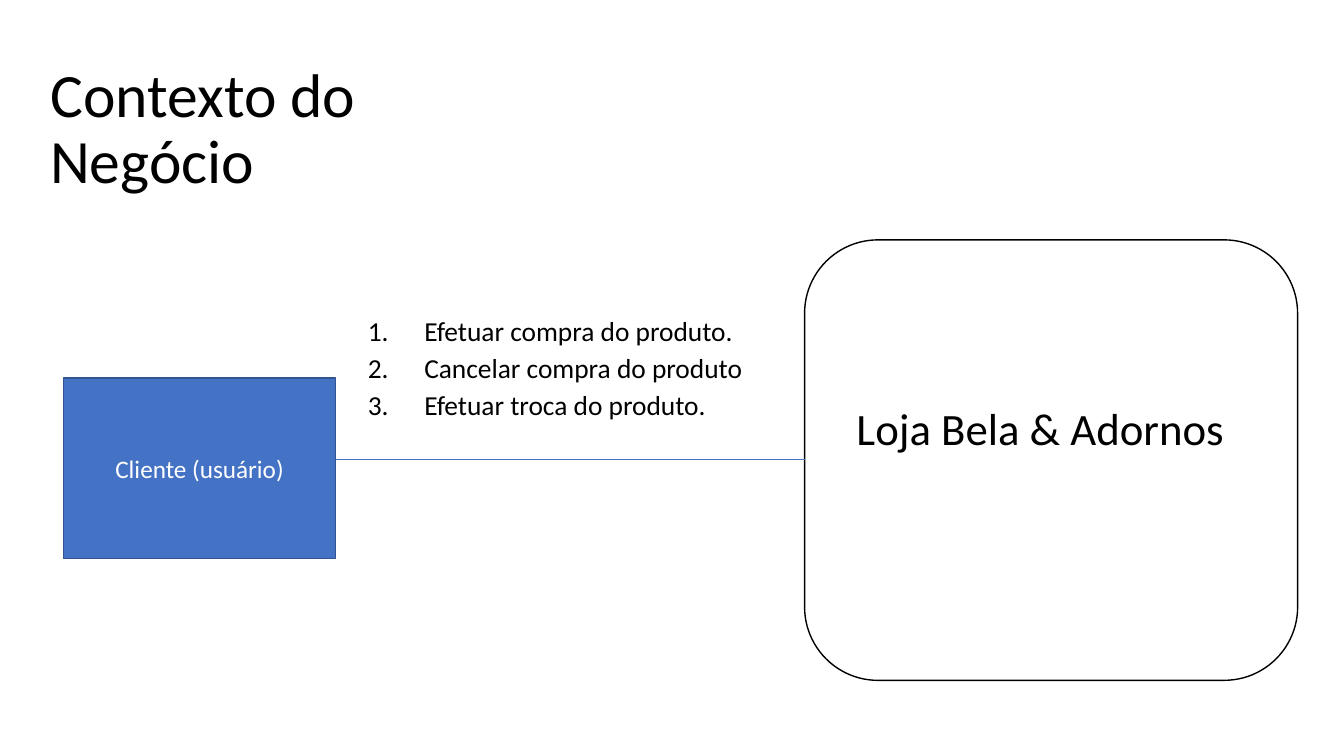
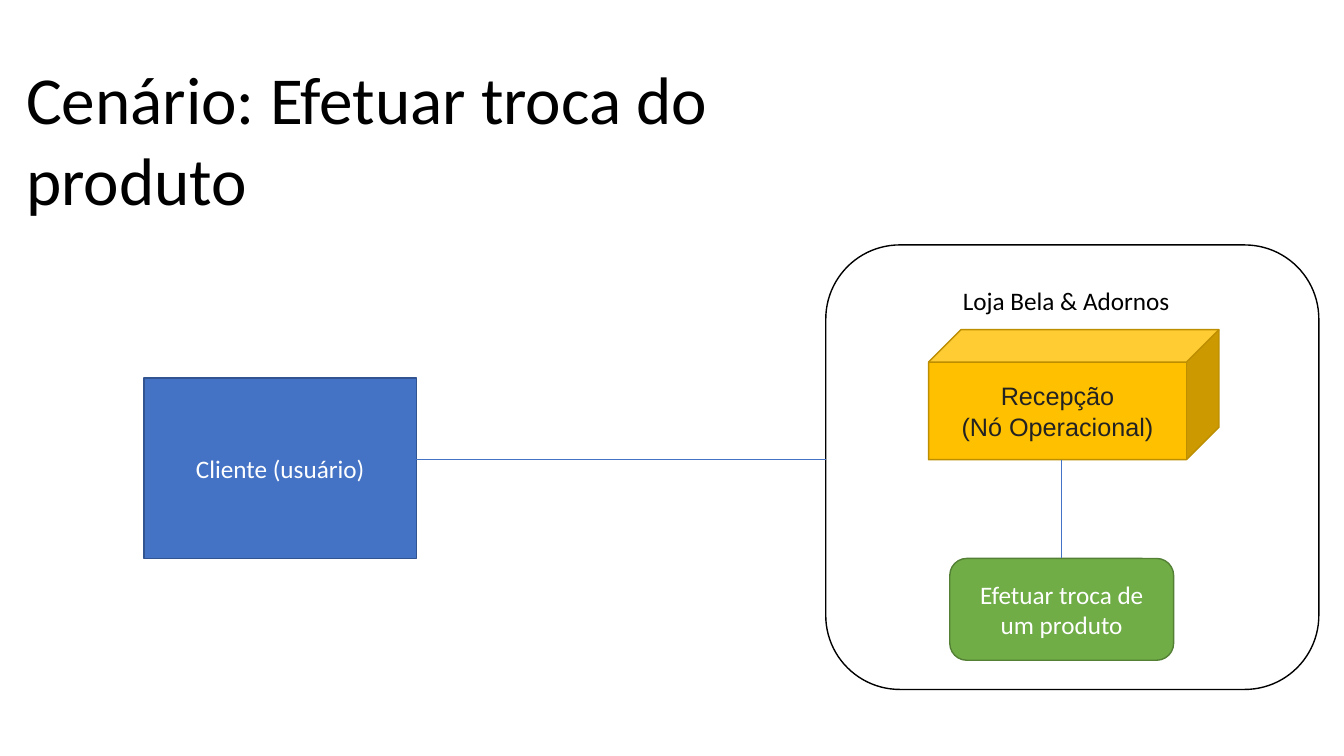
"""Build two slides on the business context and a product exchange scenario."""
from lxml import etree
from pptx import Presentation
from pptx.dml.color import RGBColor
from pptx.enum import shapes, text
from pptx.oxml import ns
from pptx.util import Inches, Pt

BLACK, WHITE, DARK = "000000", "FFFFFF", "222222"
BLUE, NAVY = "4472C4", "325491"
GREEN, MOSS = "70AD47", "538035"
GOLD, OCHRE = "FFC000", "BD8E00"
KIND, ANCHOR = shapes.MSO_SHAPE, text.MSO_ANCHOR
CENTER = text.PP_ALIGN.CENTER
CLIENT, SHOP = "Cliente (usuário)", "Loja Bela & Adornos"
STEPS = ["Efetuar compra do produto.", "Cancelar compra do produto", "Efetuar troca do produto."]
MID = 4.56

SLIDES = [
    dict(title=("Contexto do Negócio", (0.4, 0.4, 4.04, 1.79), 44, 0.9, ANCHOR.MIDDLE),
         shop=((7.98, 2.38, 4.89, 4.37), 32, (0.1, 1.38, 0.31, 0.05)),
         client=0.63, nodes=[], links=[],
         steps=(STEPS, (3.55, 3.16, 4.04, 1.41))),
    dict(title=("Cenário: Efetuar troca do produto", (0.16, 0.52, 8.36, 1.72), 48, 1, ANCHOR.TOP),
         shop=((8.19, 2.43, 4.89, 4.41), 18, (0.1, 0.19, 0.22, 0.05)),
         client=1.43,
         nodes=[(KIND.FLOWCHART_ALTERNATE_PROCESS, (9.42, 5.54, 2.22, 1.01), GREEN, MOSS,
                 ["Efetuar troca de um produto"], WHITE, "Calibri"),
                (KIND.CUBE, (9.21, 3.27, 2.88, 1.29), GOLD, OCHRE,
                 ["Recepção", "(Nó Operacional)"], DARK, "Arial")],
         links=[(10.53, MID, 10.53, 5.54)], steps=None),
]


def rgb(code):
    """Turn a hex string into a colour."""
    return RGBColor.from_string(code)


def write(frame, lines, size, color=BLACK, font="Calibri", align=None, space=1):
    """Fill a text frame with one paragraph a line."""
    frame.word_wrap = True
    for i, line in enumerate(lines):
        para = frame.paragraphs[0] if i == 0 else frame.add_paragraph()
        para.alignment, para.line_spacing = align, space
        run = para.add_run()
        run.text = line
        run.font.size, run.font.name = Pt(size), font
        run.font.color.rgb = rgb(color)


def label(slide, lines, box, size, space, anchor=ANCHOR.TOP):
    """Add a text box and return its frame."""
    frame = slide.shapes.add_textbox(*map(Inches, box)).text_frame
    frame.vertical_anchor = anchor
    write(frame, lines, size, space=space)
    return frame


def node(slide, kind, box, fill, edge, lines, color, font="Calibri", size=18):
    """Add a filled shape with centred text and return its frame."""
    shape = slide.shapes.add_shape(kind, *map(Inches, box))
    shape.shadow.inherit = False
    shape.fill.solid()
    shape.fill.fore_color.rgb = rgb(fill)
    shape.line.color.rgb = rgb(edge)
    shape.line.width = Pt(1)
    shape.text_frame.vertical_anchor = ANCHOR.MIDDLE
    write(shape.text_frame, lines, size, color, font, CENTER)
    return shape.text_frame


def link(slide, ends):
    """Join two points with a thin line."""
    line = slide.shapes.add_connector(shapes.MSO_CONNECTOR.STRAIGHT, *map(Inches, ends))
    line.line.color.rgb = rgb(BLUE)
    line.line.width = Pt(0.5)
    etree.SubElement(line._element.spPr, ns.qn("a:effectLst"))


def number(frame):
    """Number the paragraphs of a frame with hanging indents."""
    for para in frame.paragraphs:
        para.space_before = Pt(10)
        props = para._p.get_or_add_pPr()
        props.set("marL", str(Inches(0.56)))
        props.set("indent", str(-Inches(0.56)))
        etree.SubElement(props, ns.qn("a:buFont")).set("typeface", "+mj-lt")
        etree.SubElement(props, ns.qn("a:buAutoNum")).set("type", "arabicPeriod")


def build(slide, data):
    """Draw one slide from its data."""
    box, size, pads = data["shop"]
    frame = node(slide, KIND.ROUNDED_RECTANGLE, box, WHITE, BLACK, [SHOP], BLACK, size=size)
    frame.vertical_anchor = ANCHOR.TOP
    (frame.margin_left, frame.margin_top,
     frame.margin_right, frame.margin_bottom) = map(Inches, pads)
    left, wide = data["client"], 2.7
    node(slide, KIND.RECTANGLE, (left, 3.75, wide, 1.79), BLUE, NAVY, [CLIENT], WHITE)
    for item in data["nodes"]:
        node(slide, *item)
    for ends in [(left + wide, MID, box[0], MID)] + data["links"]:
        link(slide, ends)
    title, place, size, space, anchor = data["title"]
    label(slide, [title], place, size, space, anchor)
    if data["steps"]:
        number(label(slide, *data["steps"], 19.6, 0.7))


def main():
    """Build and save the deck."""
    deck = Presentation()
    deck.slide_width, deck.slide_height = Inches(13.33), Inches(7.5)
    for data in SLIDES:
        build(deck.slides.add_slide(deck.slide_layouts[6]), data)
    deck.save("out.pptx")


if __name__ == "__main__":
    main()
